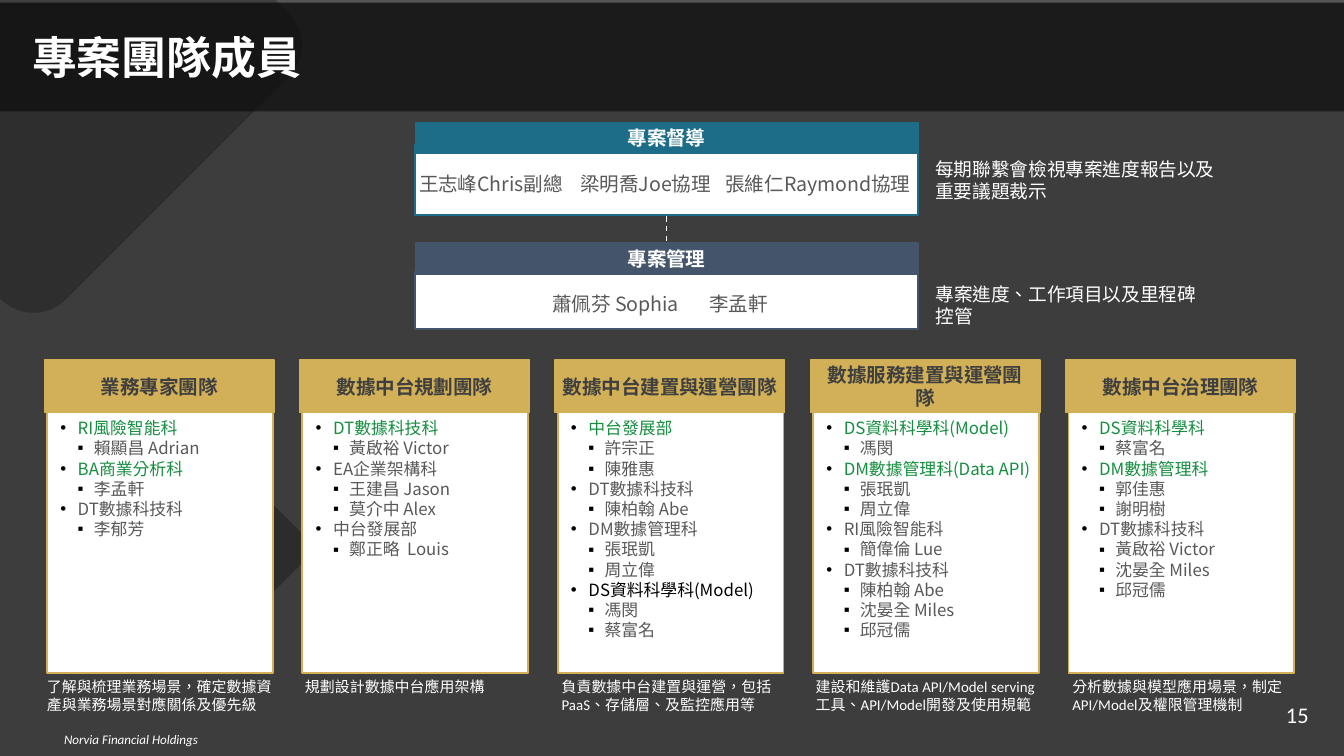
from dataclasses import dataclass

from lxml.etree import SubElement
from pptx import Presentation
from pptx.dml.color import RGBColor
from pptx.enum.dml import MSO_LINE
from pptx.enum.shapes import MSO_CONNECTOR, MSO_SHAPE
from pptx.enum.text import MSO_ANCHOR, PP_ALIGN
from pptx.oxml.ns import qn
from pptx.util import Inches, Pt


@dataclass(frozen=True)
class Theme:
    white: str = "FFFFFF"
    black: str = "000000"
    backdrop: str = "0D0D0D"
    gold: str = "D1B058"
    teal: str = "1D6D88"
    slate: str = "44546A"
    green: str = "168E40"
    body: str = "595959"
    heading: str = "3F3F3F"
    cjk: str = "Noto Sans CJK TC"
    latin: str = "Calibri"
    title_size: float = 24
    number_size: float = 12
    heading_size: float = 10.5
    remark_size: float = 10
    member_size: float = 9
    note_size: float = 8
    footer_size: float = 7


THEME = Theme()


@dataclass(frozen=True)
class Style:
    size: float
    color: str = THEME.white
    font: str = THEME.cjk
    bold: bool = False
    italic: bool = False


@dataclass(frozen=True)
class Unit:
    name: str
    members: tuple[str, ...]
    color: str = THEME.body


@dataclass(frozen=True)
class Team:
    name: str
    note: str
    note_left: float
    units: tuple[Unit, ...]
    heading_inset: float = 0.07
    right_inset: float = 0.1


GREEN = THEME.green
TEAMS = (
    Team("業務專家團隊", "了解與梳理業務場景，確定數據資產與業務場景對應關係及優先級", 0.25, (
        Unit("RI風險智能科", ("賴顯昌 Adrian",), GREEN),
        Unit("BA商業分析科", ("李孟軒",), GREEN),
        Unit("DT數據科技科", ("李郁芳",)))),
    Team("數據中台規劃團隊", "規劃設計數據中台應用架構", 2.17, (
        Unit("DT數據科技科", ("黃啟裕 Victor",), GREEN),
        Unit("EA企業架構科", ("王建昌 Jason", "莫介中 Alex")),
        Unit("中台發展部", ("鄭正略  Louis",)))),
    Team("數據中台建置與運營團隊", "負責數據中台建置與運營，包括PaaS、存儲層、及監控應用等", 4.08, (
        Unit("中台發展部", ("許宗正", "陳雅惠"), GREEN),
        Unit("DT數據科技科", ("陳柏翰 Abe",)),
        Unit("DM數據管理科", ("張珉凱", "周立偉")),
        Unit("DS資料科學科(Model)", ("馮閔", "蔡富名"), THEME.black)), heading_inset=0),
    Team("數據服務建置與運營團隊", "建設和維護Data API/Model serving工具、API/Model開發及使用規範", 5.97, (
        Unit("DS資料科學科(Model)", ("馮閔",), GREEN),
        Unit("DM數據管理科(Data API)", ("張珉凱", "周立偉"), GREEN),
        Unit("RI風險智能科", ("簡偉倫 Lue",)),
        Unit("DT數據科技科", ("陳柏翰 Abe", "沈晏全 Miles", "邱冠儒"))), right_inset=0),
    Team("數據中台治理團隊", "分析數據與模型應用場景，制定API/Model及權限管理機制", 7.88, (
        Unit("DS資料科學科", ("蔡富名",), GREEN),
        Unit("DM數據管理科", ("郭佳惠", "謝明樹"), GREEN),
        Unit("DT數據科技科", ("黃啟裕 Victor", "沈晏全 Miles", "邱冠儒")))),
)


def rgb(color: str) -> RGBColor:
    return RGBColor.from_string(color)


def fill_shape(shape, color: str, opacity: int = 100) -> None:
    shape.shadow.inherit = False
    shape.fill.solid()
    shape.fill.fore_color.rgb = rgb(color)
    shape.line.fill.background()
    if opacity < 100:
        fill = shape._element.spPr.find(qn("a:solidFill"))
        SubElement(fill[0], qn("a:alpha"), val=str(opacity * 1000))


def add_box(slide, box, color: str, line: str | None = None, width: float = 1,
            opacity: int = 100, kind=MSO_SHAPE.RECTANGLE):
    shape = slide.shapes.add_shape(kind, *map(Inches, box))
    fill_shape(shape, color, opacity)
    if line:
        shape.line.color.rgb = rgb(line)
        shape.line.width = Pt(width)
    return shape


def set_frame(shape, insets=(0.1, 0.05, 0.1, 0.05), anchor=MSO_ANCHOR.TOP):
    frame = shape.text_frame
    frame.word_wrap = True
    frame.vertical_anchor = anchor
    frame.margin_left, frame.margin_top, frame.margin_right, frame.margin_bottom = map(Inches, insets)
    return frame


def format_paragraph(paragraph, style: Style, align=PP_ALIGN.LEFT, margin: float = 0, indent: float = 0) -> None:
    paragraph.alignment = align
    properties = paragraph._p.get_or_add_pPr()
    properties.set("marL", str(Inches(margin)))
    properties.set("indent", str(Inches(indent)))
    for run in paragraph.runs:
        font = run.font
        font.size, font.bold, font.italic = Pt(style.size), style.bold, style.italic
        font.color.rgb = rgb(style.color)
        font.name = style.font
        run_properties = run._r.get_or_add_rPr()
        run_properties.set("lang", "zh-TW")
        SubElement(run_properties, qn("a:ea"), typeface=THEME.cjk)


def write(shape, text: str, style: Style, align=PP_ALIGN.LEFT, anchor=MSO_ANCHOR.TOP,
          insets=(0.1, 0.05, 0.1, 0.05), margin: float = 0) -> None:
    frame = set_frame(shape, insets, anchor)
    frame.text = text
    format_paragraph(frame.paragraphs[0], style, align, margin)


def add_text(slide, box, text: str, style: Style, **layout) -> None:
    write(slide.shapes.add_textbox(*map(Inches, box)), text, style, **layout)


def add_heading(slide, box, text: str, color: str, text_color: str, inset: float = 0.07) -> None:
    shape = add_box(slide, box, color, color, 0.75)
    write(shape, text, Style(THEME.heading_size, text_color, bold=True), PP_ALIGN.CENTER,
          MSO_ANCHOR.MIDDLE, (inset, 0.04, inset, 0.04))


def add_bullet(paragraph, text: str, style: Style, mark: str, margin: float, indent: float) -> None:
    paragraph.text = text
    format_paragraph(paragraph, style, margin=margin, indent=indent)
    properties = paragraph._p.get_or_add_pPr()
    color = SubElement(properties, qn("a:buClr"))
    SubElement(color, qn("a:srgbClr"), val=THEME.black)
    SubElement(properties, qn("a:buFont"), typeface="Arial")
    SubElement(properties, qn("a:buChar"), char=mark)


def add_team(slide, team: Team, left: float) -> None:
    card = add_box(slide, (left + 0.02, 3.06, 1.68, 1.95), THEME.white, THEME.gold)
    frame = set_frame(card, (0.1, 0.05, team.right_inset, 0.05))
    rows = []
    for unit in team.units:
        rows.append((unit.name, unit.color, "•", 0.13, -0.13))
        rows += [(member, THEME.body, "▪", 0.25, -0.12) for member in unit.members]
    for index, (text, color, mark, margin, indent) in enumerate(rows):
        paragraph = frame.add_paragraph() if index else frame.paragraphs[0]
        add_bullet(paragraph, text, Style(THEME.member_size, color), mark, margin, indent)
    add_heading(slide, (left, 2.68, 1.71, 0.39), team.name, THEME.gold, THEME.heading, team.heading_inset)
    add_text(slide, (team.note_left, 4.99, 1.92, 0.37), team.note, Style(THEME.note_size, font=THEME.latin))


def curve(*controls, steps: int = 12):
    """Points along a cubic Bezier curve."""
    weights = (1, 3, 3, 1)
    for step in range(steps + 1):
        t = step / steps
        yield tuple(sum(weight * (1 - t) ** (3 - i) * t ** i * point[axis]
                        for i, (weight, point) in enumerate(zip(weights, controls)))
                    for axis in (0, 1))


def add_background(slide) -> None:
    add_box(slide, (-0.02, 0.02, 10.02, 5.62), THEME.backdrop, opacity=80)
    outline = [(2.05, 0), *curve((2.15, 0.1), (2.28, 0.23), (2.28, 0.44), (2.15, 0.57)),
               *curve((0.49, 2.23), (0.36, 2.36), (0.14, 2.36), (0.01, 2.23)), (0, 2.22)]
    builder = slide.shapes.build_freeform(0, 0)
    builder.add_line_segments([(Inches(x), Inches(y)) for x, y in outline], close=True)
    fill_shape(builder.convert_to_shape(), THEME.backdrop, 30)
    add_box(slide, (0, 0, 10, 0.83), THEME.backdrop, opacity=70)
    diamond = add_box(slide, (0.79, 3.43, 1.3, 1.3), THEME.backdrop, opacity=34,
                      kind=MSO_SHAPE.ROUNDED_RECTANGLE)
    diamond.adjustments[0] = 0.11
    diamond.rotation = 315


def add_leadership(slide) -> None:
    name_style = Style(THEME.heading_size, THEME.body)
    remark_style = Style(THEME.remark_size)
    for top, body_top, height, title, color in (
            (0.91, 1.08, 0.52, "專案督導", THEME.teal), (1.81, 2.02, 0.43, "專案管理", THEME.slate)):
        add_box(slide, (3.09, body_top, 3.74, height), THEME.white, color)
        add_heading(slide, (3.09, top, 3.74, 0.23), title, color, THEME.white)
    for left, width, name in ((2.93, 1.44, "王志峰Chris副總"), (4.13, 1.91, "梁明喬Joe協理"),
                              (5.21, 2.39, "張維仁Raymond協理")):
        add_text(slide, (left, 1.23, width, 0.28), name, name_style, margin=0.09)
    add_text(slide, (3.11, 2.12, 3.61, 0.28), "蕭佩芬 Sophia       李孟軒   ", name_style,
             align=PP_ALIGN.CENTER, margin=0.09)
    for box, remark in (((6.92, 0.84, 2.24, 1), "每期聯繫會檢視專案進度報告以及重要議題裁示"),
                        ((6.92, 1.94, 2.09, 0.66), "專案進度、工作項目以及里程碑控管")):
        add_text(slide, box, remark, remark_style, anchor=MSO_ANCHOR.MIDDLE, insets=(0.04, 0.05, 0.04, 0.05))
    link = slide.shapes.add_connector(MSO_CONNECTOR.STRAIGHT, *map(Inches, (4.96, 1.61, 4.96, 1.81)))
    link.line.color.rgb = rgb(THEME.white)
    link.line.width = Pt(0.75)
    link.line.dash_style = MSO_LINE.DASH
    SubElement(link._element.spPr, qn("a:effectLst"))


def main() -> None:
    presentation = Presentation()
    # Widescreen, 16:9
    presentation.slide_width, presentation.slide_height = Inches(10), Inches(10 * 9 / 16)
    slide = presentation.slides.add_slide(presentation.slide_layouts[6])
    add_background(slide)

    # Title, footer and slide number
    add_text(slide, (0.14, 0.21, 9.72, 0.43), "專案團隊成員",
             Style(THEME.title_size, font=THEME.latin, bold=True), anchor=MSO_ANCHOR.MIDDLE)
    add_text(slide, (0.06, 5.39, 1.83, 0.22), "Norvia Financial Holdings",
             Style(THEME.footer_size, font=THEME.latin, italic=True), align=PP_ALIGN.CENTER)
    add_text(slide, (9.47, 5.16, 0.53, 0.31), "15", Style(THEME.number_size, font=THEME.latin),
             anchor=MSO_ANCHOR.MIDDLE)

    # Steering and management boxes, then the five teams
    add_leadership(slide)
    for index, team in enumerate(TEAMS):
        add_team(slide, team, 0.33 + 1.9 * index)
    presentation.save("out.pptx")


if __name__ == "__main__":
    main()
